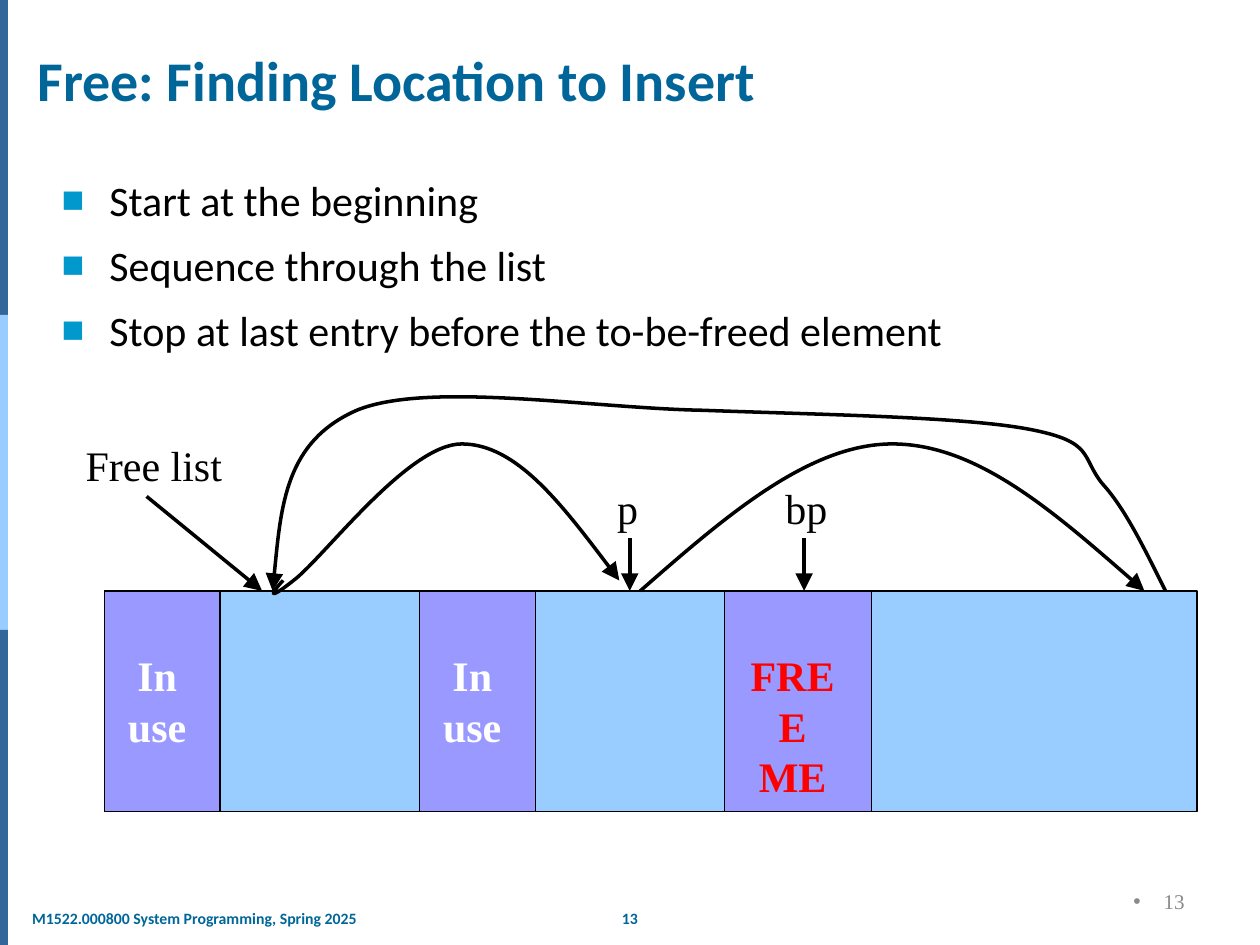
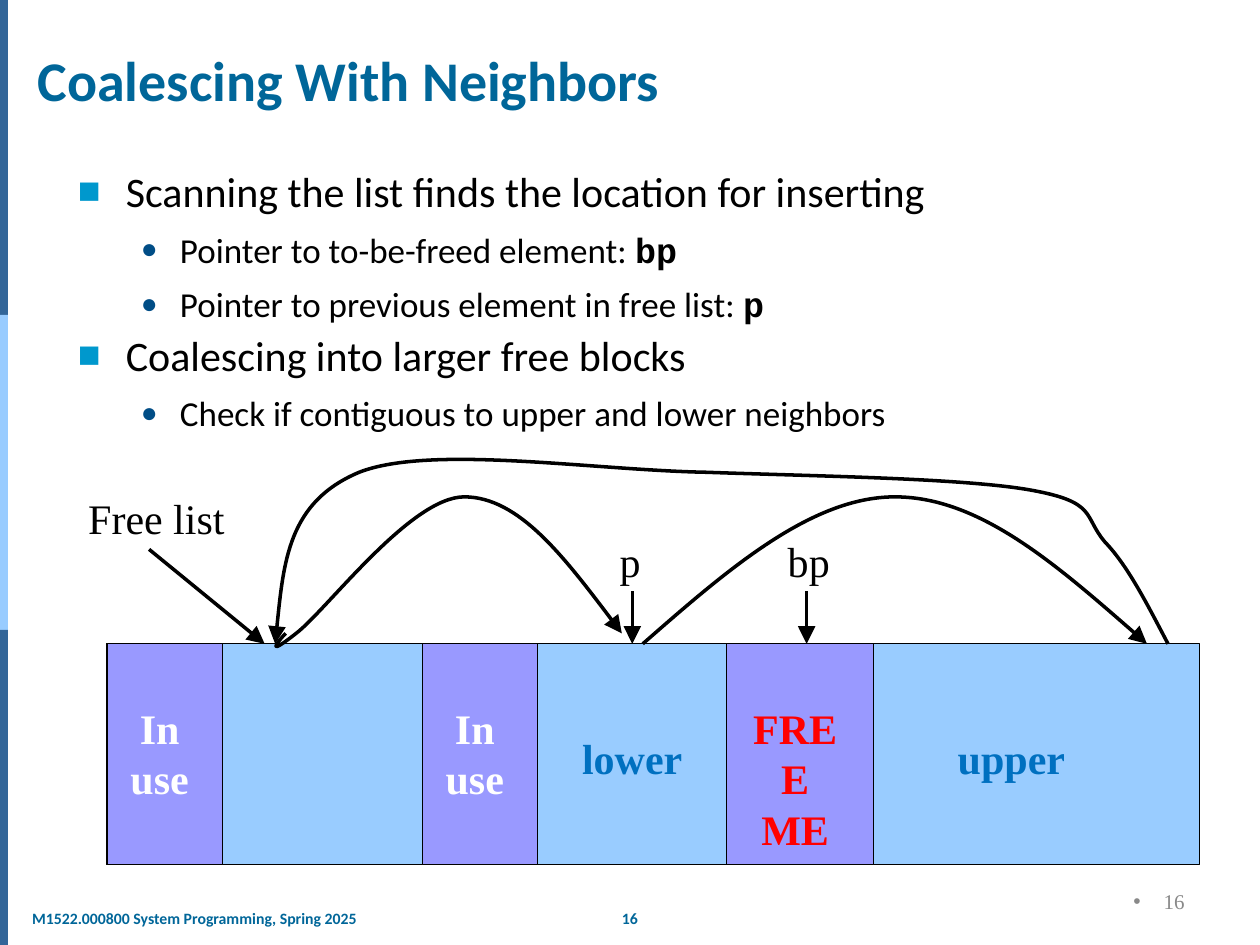
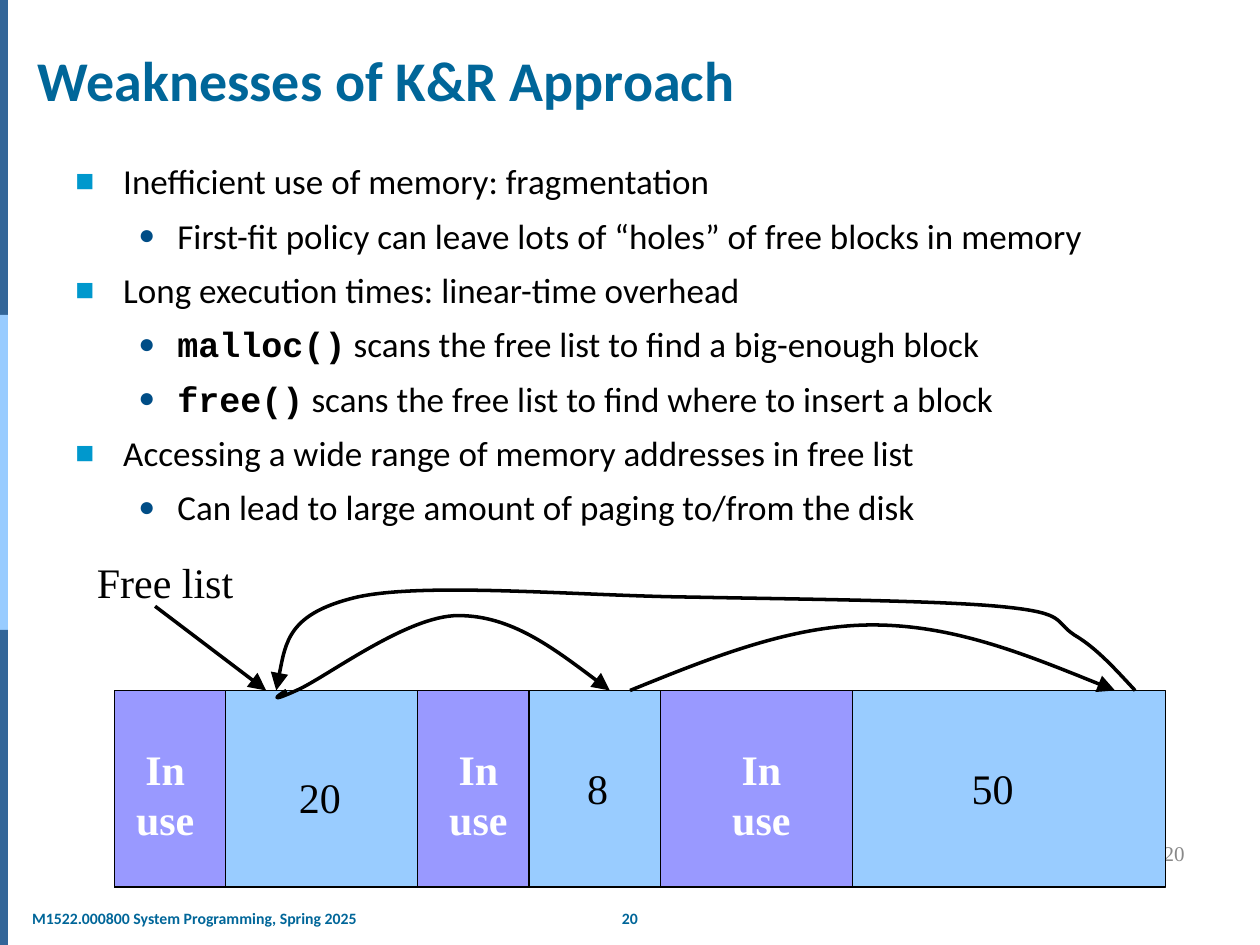
import dataclasses

import lxml.etree
import pptx
import pptx.dml.color
import pptx.enum.shapes
import pptx.enum.text
import pptx.oxml.ns
import pptx.util

ALIGN = pptx.enum.text.PP_ALIGN
ANCHOR = pptx.enum.text.MSO_ANCHOR
RECT = pptx.enum.shapes.MSO_SHAPE.RECTANGLE
LINE = pptx.enum.shapes.MSO_CONNECTOR.STRAIGHT


@dataclasses.dataclass(frozen=True)
class Theme:
    head: str = "006699"
    dark: str = "336699"
    free: str = "99CCFF"
    used: str = "9999FF"
    ink: str = "000000"
    pale: str = "FFFFFF"
    alert: str = "FF0000"
    near: str = "0070C0"
    gray: str = "898989"
    sans: str = "Calibri"
    serif: str = "Times New Roman"
    code: str = "Courier New"
    title: int = 32
    label: int = 24
    page: int = 12
    foot: int = 9
    thin: float = 0.75
    bold: int = 2
    gap: float = 0.35


THEME = Theme()
MARKS = [
    dict(char="■", hue="0098CD", size=90, left=0.38, hang=0.38),
    dict(char="●", hue="004D86", size=80, left=0.81, hang=0.31),
]
DOT = dict(char="•", hue=THEME.gray, size=100, left=0.24, hang=0.24)


@dataclasses.dataclass(frozen=True)
class Grid:
    left: float
    top: float
    width: float
    height: float
    cols: int
    rows: int

    def spot(self, col, row):
        return (pptx.util.Inches(self.left + self.width * col / self.cols),
                pptx.util.Inches(self.top + self.height * row / self.rows))

    def box(self, col, row, wide, high):
        return (*self.spot(col, row),
                pptx.util.Inches(self.width * wide / self.cols),
                pptx.util.Inches(self.height * high / self.rows))


PAGE = Grid(0, 0, 10, 7.5, 100, 75)


def tint(text):
    return pptx.dml.color.RGBColor.from_string(text)


def apply(target, values):
    for name, value in values.items():
        setattr(target, name, value)


def node(parent, tag, **attrs):
    return lxml.etree.SubElement(parent, pptx.oxml.ns.qn(tag), **attrs)


def write(para, text, face, size, hue, bold=False):
    for turn, part in enumerate(text.split("`")):
        if part:
            run = para.add_run()
            run.text = part
            code = turn % 2 == 1
            apply(run.font, dict(name=THEME.code if code else face,
                                 size=pptx.util.Pt(size), bold=bold or code))
            run.font.color.rgb = tint(hue)


def mark(para, char, hue, size, left, hang):
    props = para._p.get_or_add_pPr()
    props.set("marL", str(pptx.util.Inches(left)))
    props.set("indent", str(-pptx.util.Inches(hang)))
    node(node(props, "a:buClr"), "a:srgbClr", val=hue)
    node(props, "a:buSzPct", val=str(size * 1000))
    node(props, "a:buFont", typeface="Arial")
    node(props, "a:buChar", char=char)


def frame(slide, box, **values):
    text = slide.shapes.add_textbox(*box).text_frame
    apply(text, dict(word_wrap=True) | values)
    return text


def block(slide, box, hue, edge=None):
    shape = slide.shapes.add_shape(RECT, *box)
    shape.shadow.inherit = False
    shape.fill.solid()
    shape.fill.fore_color.rgb = tint(hue)
    if edge:
        shape.line.color.rgb = tint(edge)
        shape.line.width = pptx.util.Pt(THEME.thin)
    else:
        shape.line.fill.background()


def point(shape):
    shape.line.color.rgb = tint(THEME.ink)
    shape.line.width = pptx.util.Pt(THEME.bold)
    node(shape._element.spPr.get_or_add_ln(), "a:tailEnd",
         type="triangle", w="lg", len="lg")


def arrow(slide, grid, start, end):
    line = slide.shapes.add_connector(LINE, *grid.spot(*start), *grid.spot(*end))
    point(line)
    node(line._element.spPr, "a:effectLst")


def curve(slide, grid, knots, base, rise):
    first, *rest = [grid.spot(col, base - rise * lift) for col, lift in knots]
    pen = slide.shapes.build_freeform(*first)
    pen.add_line_segments(rest, close=False)
    shape = pen.convert_to_shape()
    legs = list(shape._element.iter(pptx.oxml.ns.qn("a:lnTo")))
    trail = legs[0].getparent()
    for turn in range(0, len(legs), 3):
        bend = node(trail, "a:cubicBezTo")
        for leg in legs[turn:turn + 3]:
            bend.append(leg[0])
            trail.remove(leg)
    shape.fill.background()
    shape.shadow.inherit = False
    point(shape)


def label(slide, grid, text, mid, row, hue=THEME.ink, bold=False):
    lines = text.split("\n")
    wide = 3 + 2.2 * max(map(len, lines))
    room = frame(slide, grid.box(mid - wide / 2, row, wide, 6 * len(lines)),
                 word_wrap=False)
    for turn, line in enumerate(lines):
        para = room.paragraphs[0] if turn == 0 else room.add_paragraph()
        para.alignment = ALIGN.CENTER
        write(para, line, THEME.serif, THEME.label, hue, bold)


SHORT = [(17, 0), (16, -0.08), (15.2, -0.17), (18, 0),
         (20.9, 0.17), (28.9, 1), (34, 1), (39.2, 1), (44.1, 0.5), (49, 0)]
LONG = [(51, 0), (59, 0.5), (67, 1), (75, 1), (83, 1), (91, 0.5), (99, 0)]
BACK = [(101, 0), (99.1, 0.19), (97.2, 0.39), (95, 0.51),
        (92.9, 0.64), (94.3, 0.71), (88, 0.77),
        (81.7, 0.83), (67.7, 0.84), (57, 0.86),
        (46.3, 0.87), (30.8, 1), (24, 0.86),
        (17.2, 0.71), (16.7, 0.36), (16, 0)]


def heap(slide, grid, split, rises, base, notes, marks=(), start=4.7):
    block(slide, grid.box(0, 0, grid.cols, grid.rows), THEME.free, THEME.ink)
    cells = [(0, 11, THEME.used), (30, 41, THEME.used),
             (41, split, THEME.free), (split, 73, THEME.used)]
    for left, right, hue in cells:
        block(slide, grid.box(left, 0, right - left, grid.rows), hue, THEME.ink)
    label(slide, grid, "Free list", start, -15)
    arrow(slide, grid, (4, -9), (15, 0))
    for knots, low, rise in zip((SHORT, LONG, BACK), (base, 0, 0), rises):
        curve(slide, grid, knots, low, rise)
    for text, mid, col in marks:
        label(slide, grid, text, mid, -10.9)
        arrow(slide, grid, (col, -5), (col, 0))
    for note in notes:
        label(slide, grid, *note)


def body(slide, box, items):
    room = frame(slide, box)
    for turn, (level, size, text, *pitch) in enumerate(items):
        para = room.paragraphs[0] if turn == 0 else room.add_paragraph()
        mark(para, **MARKS[level])
        values = dict(level=level)
        if turn:
            values["space_before"] = pptx.util.Pt(round(size * THEME.gap, 1))
        if pitch:
            values["line_spacing"] = pitch[0]
        apply(para, values)
        write(para, text, THEME.sans, size, THEME.ink)


def base(deck, title, number, row=69.5):
    slide = deck.slides.add_slide(deck.slide_layouts[6])
    for turn, hue in enumerate((THEME.dark, THEME.free, THEME.dark)):
        block(slide, PAGE.box(0, 25 * turn, 0.63, 25), hue)
    room = frame(slide, PAGE.box(48.2, 71.6, 3.6, 2.5), word_wrap=False)
    room.paragraphs[0].alignment = ALIGN.CENTER
    write(room.paragraphs[0], number, THEME.sans, THEME.foot, THEME.head, True)
    inset = pptx.util.Inches(0.06)
    room = frame(slide, PAGE.box(1.95, 71.6, 27.2, 2.5), word_wrap=False,
                 margin_left=inset, margin_right=inset)
    write(room.paragraphs[0], "M1522.000800 System Programming, Spring 2025",
          THEME.sans, THEME.foot, THEME.head, True)
    room = frame(slide, PAGE.box(2, 3.15, 96.5, 6.3),
                 vertical_anchor=ANCHOR.BOTTOM)
    write(room.paragraphs[0], title, THEME.sans, THEME.title, THEME.head, True)
    room = frame(slide, PAGE.box(71.7, row, 23.3, 4),
                 vertical_anchor=ANCHOR.MIDDLE)
    para = room.paragraphs[0]
    mark(para, **DOT)
    para.alignment = ALIGN.RIGHT
    write(para, number, THEME.serif, THEME.page, THEME.gray)
    return slide


def used(mid):
    return "In\nuse", mid, 5, THEME.pale, True


BUSY = [used(5), ("FREE\nME", 65.5, 5, THEME.alert, True), used(35)]
PINS = [("p", 49.8, 50), ("bp", 66.8, 66.6)]


def find(deck):
    slide = base(deck, "Free: Finding Location to Insert", "13")
    body(slide, PAGE.box(3.9, 13.35, 93.6, 25), [
        (0, 24, "Start at the beginning"),
        (0, 24, "Sequence through the list"),
        (0, 24, "Stop at last entry before the to-be-freed element"),
    ])
    heap(slide, Grid(0.83, 4.69, 8.67, 1.75, 104, 21), 59, (13, 14, 20), -1,
         BUSY, PINS)


def merge(deck):
    slide = base(deck, "Coalescing With Neighbors", "16")
    body(slide, PAGE.box(5.2, 12.65, 90, 25.3), [
        (0, 24, "Scanning the list finds the location for inserting"),
        (1, 20, "Pointer to to-be-freed element: `bp`"),
        (1, 20, "Pointer to previous element in free list: `p`"),
        (0, 24, "Coalescing into larger free blocks", 0.8),
        (1, 20, "Check if contiguous to upper and lower neighbors"),
    ])
    sides = [("lower", 50, 7.9, THEME.near, True),
             ("upper", 86.1, 7.9, THEME.near, True)]
    heap(slide, Grid(0.85, 5.11, 8.67, 1.75, 104, 21), 59, (13, 14, 19), -1,
         BUSY + sides, PINS)


def flaws(deck):
    slide = base(deck, "Weaknesses of K&R Approach", "20", 65.7)
    body(slide, PAGE.box(5, 12.2, 90, 41.2), [
        (0, 20, "Inefficient use of memory: fragmentation"),
        (1, 20, "First-fit policy can leave lots of “holes” of free blocks in memory"),
        (0, 20, "Long execution times: linear-time overhead"),
        (1, 20, "`malloc()` scans the free list to find a big-enough block"),
        (1, 20, "`free()` scans the free list to find where to insert a block"),
        (0, 20, "Accessing a wide range of memory addresses in free list"),
        (1, 20, "Can lead to large amount of paging to/from the disk"),
    ])
    sizes = [("20", 20.3, 8), ("8", 47.8, 7), ("50", 86.9, 7)]
    heap(slide, Grid(0.91, 5.48, 8.34, 1.56, 104, 21), 54, (8, 7, 11.6), 0,
         [used(5), used(36), used(64)] + sizes, start=5)


def main():
    deck = pptx.Presentation()
    apply(deck, dict(slide_width=pptx.util.Inches(PAGE.width),
                     slide_height=pptx.util.Inches(PAGE.height)))
    for build in (find, merge, flaws):
        build(deck)
    deck.save("out.pptx")


if __name__ == "__main__":
    main()
